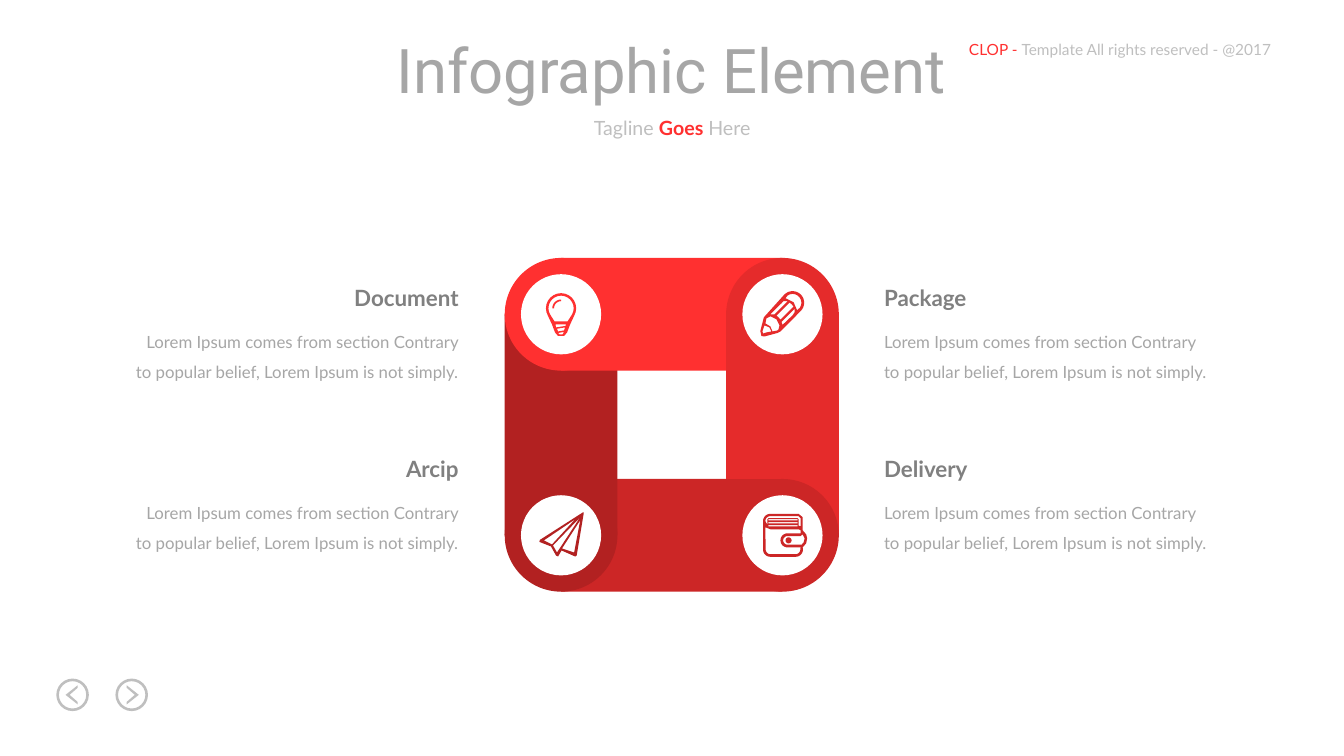
import math

import pptx
import pptx.dml.color
import pptx.enum.shapes
import pptx.enum.text
import pptx.util

Cm = pptx.util.Cm
Pt = pptx.util.Pt
RGBColor = pptx.dml.color.RGBColor
SHAPE = pptx.enum.shapes.MSO_SHAPE
ALIGN = pptx.enum.text.PP_ALIGN

WHITE = RGBColor(0xFF, 0xFF, 0xFF)
RED = RGBColor(0xFF, 0x30, 0x30)
RED_RIGHT = RGBColor(0xE5, 0x2B, 0x2B)
RED_BOTTOM = RGBColor(0xCC, 0x26, 0x26)
RED_LEFT = RGBColor(0xB2, 0x21, 0x21)
LIGHT_GREY = RGBColor(0xBF, 0xBF, 0xBF)
GREY = RGBColor(0xA6, 0xA6, 0xA6)
DARK_GREY = RGBColor(0x80, 0x80, 0x80)

TITLE = "Infographic Element"
TAGLINE = [("Tagline ", LIGHT_GREY, False), ("Goes ", RED, True), ("Here", LIGHT_GREY, False)]
COPYRIGHT = [("CLOP - ", RED, False), ("Template All rights reserved - @2017", LIGHT_GREY, False)]
DESCRIPTION = "Lorem Ipsum comes from section Contrary to popular belief, Lorem Ipsum is not simply."
COLUMNS = [
    (3.1, ALIGN.RIGHT, ["Document", "Arcip"]),
    (22.03, ALIGN.LEFT, ["Package", "Delivery"]),
]
COLUMN_WIDTH = 8.71
ROW_TOP, ROW_PITCH = 7.04, 4.31

LEFT, RIGHT, TOP, BOTTOM = 14.14, 19.72, 7.92, 13.49
BAND_RADIUS = 1.42
DISC_RADIUS = 1.01
ICON_UNIT = 2.54 / 100
NAVIGATION = [(1.83, -1), (3.32, 1)]
NAVIGATION_Y = 17.51
CHEVRON = [(-5, -7), (3, 0), (-5, 7), (-5, 9.5), (7, 0), (-5, -9.5)]


def arc(center_x, center_y, radius, start, end, steps=16):
    angles = [math.radians(start + (end - start) * step / steps) for step in range(steps + 1)]
    return [(center_x + radius * math.cos(a), center_y + radius * math.sin(a)) for a in angles]


BULB = [
    arc(0, -6, 15, 150, 390) + [(9, 10), (6, 18), (3, 21.5), (-3, 21.5), (-6, 18), (-9, 10)],
    arc(0, -6, 12.5, 150, 390) + [(6.5, 7), (-6.5, 7)],
    [(-5.5, 10), (5, 10), (4.5, 11.5), (-5, 13)],
    [(-4, 14.3), (4, 13), (3, 16), (-3, 17)],
    [(-3, 18.5), (3, 17.5), (1.5, 20), (-1.5, 20)],
]
GLINT = [arc(0, -6, 8.7, 180, 270) + arc(0, -6, 7, 270, 180)]
PENCIL = [
    [(-22, 16.5), (-18.5, 3)] + arc(10, -11.5, 11.5, 225, 405)
    + [(-2, 17), (-5, 18.5), (-18, 22), (-21, 21.5)],
    [(0, 10.5), (-1, 7.5), (12, -5.5), (12, -2), (10, 1)],
    [(-2, 5.3), (-4, 3), (-6, 1.3), (7, -11.7), (9, -10), (11, -7.7)],
    [(-8, 0), (-12, 0), (-1, -11), (1, -13), (5, -13)],
    [(-16, 18), (-19, 19), (-20, 17), (-18, 11), (-13, 13), (-11, 17)],
    [(-10, 17), (-12, 12), (-17, 9), (-16, 4), (-12, 2), (-6, 5), (-3, 11), (-4, 15), (-5, 16)],
    [(14.5, -4), (11, -12), (3, -16)] + arc(10, -11.5, 8.7, 235, 395),
]
WALLET = [
    arc(-12, -14, 7.3, 180, 270)
    + [(16, -21.3), (20, -18), (20, -5), (23.5, -1), (24.5, 3), (23.5, 8), (20, 12)]
    + arc(13, 14, 7.3, 0, 90) + arc(-12, 14, 7.3, 90, 180),
    [(-17, -8), (-12, -6), (16, -6), (18, -5), (18, -2)] + arc(5, 5, 7, 270, 90)
    + [(18, 12)] + arc(13, 14, 4.7, 0, 90) + arc(-12, 14, 4.7, 90, 180),
    arc(5, 5, 4.3, 90, 270) + [(18, 0.7), (20, -1), (22, 3), (21, 7), (19, 9.3)],
    arc(-12, -14, 5, 180, 270) + [(16, -19), (18, -17), (18, -9), (16, -9.5), (16, -16),
                                  (15, -17), (-14, -17), (-15, -16), (-15, -10.5)],
] + [[(-14, y), (15, y), (15, y + 1.2), (-14, y + 1.2)] for y in (-16, -13, -10)]
BUTTON = [arc(6, 5, 3, 0, 360)]
PLANE = [
    [(22, -23), (-21, 4.5), (-21.5, 6.5), (-10, 11), (-5, 20), (-3, 21), (0.5, 15),
     (14, 21), (15.5, 20), (22.5, -22)],
    [(-17, 5), (14, -16), (-9, 9)],
    [(-8, 10), (19, -18), (-4, 17)],
    [(13, 17), (1, 13), (19, -15)],
]
ICONS = [
    (RIGHT, TOP, RED_RIGHT, PENCIL),
    (LEFT, TOP, RED, BULB),
    (LEFT, TOP, RED, GLINT),
    (RIGHT, BOTTOM, RED_BOTTOM, BUTTON),
    (RIGHT, BOTTOM, RED_BOTTOM, WALLET),
    (LEFT, BOTTOM, RED_LEFT, PLANE),
]


def paint(shape, color):
    shape.shadow.inherit = False
    shape.fill.solid()
    shape.fill.fore_color.rgb = color
    shape.line.fill.background()


def add_preset(slide, kind, left, top, right, bottom, color):
    shape = slide.shapes.add_shape(kind, Cm(left), Cm(top), Cm(right - left), Cm(bottom - top))
    paint(shape, color)
    return shape


def add_round(slide, x, y, radius, color, kind=SHAPE.OVAL):
    return add_preset(slide, kind, x - radius, y - radius, x + radius, y + radius, color)


def add_outline(slide, x, y, contours, color, unit=ICON_UNIT):
    placed = [[(round((x + unit * dx) * 1000), round((y + unit * dy) * 1000)) for dx, dy in contour]
              for contour in contours]
    builder = slide.shapes.build_freeform(*placed[0][0], scale=Cm(0.001))
    for index, contour in enumerate(placed):
        if index:
            builder.move_to(*contour[0])
        builder.add_line_segments(contour[1:], close=True)
    paint(builder.convert_to_shape(), color)


def write_text(shape, runs, size, font="Lato", align=ALIGN.LEFT, spacing=None, wrap=True):
    frame = shape.text_frame
    frame.word_wrap = wrap
    frame.auto_size = pptx.enum.text.MSO_AUTO_SIZE.NONE
    frame.vertical_anchor = pptx.enum.text.MSO_ANCHOR.TOP
    paragraph = frame.paragraphs[0]
    paragraph.alignment = align
    if spacing:
        paragraph.line_spacing = spacing
    for text, color, bold in runs:
        run = paragraph.add_run()
        run.text = text
        run.font.name = font
        run.font.size = Pt(size)
        run.font.bold = bold
        run.font.color.rgb = color


def add_text(slide, left, top, width, height, runs, **formatting):
    box = slide.shapes.add_textbox(Cm(left), Cm(top), Cm(width), Cm(height))
    write_text(box, runs, **formatting)


def add_header(slide):
    title = slide.shapes.title
    title.left, title.top, title.width, title.height = Cm(9.68), Cm(0.68), Cm(14.48), Cm(2.13)
    write_text(title, [(TITLE, GREY, False)], size=44, font="Roboto", align=ALIGN.CENTER, wrap=False)
    add_text(slide, 14.65, 2.79, 4.58, 0.86, TAGLINE, size=14, align=ALIGN.CENTER, wrap=False)
    add_text(slide, 24.17, 0.89, 8.28, 0.74, COPYRIGHT, size=11, wrap=False)


def add_navigation(slide):
    for x, direction in NAVIGATION:
        ring = add_round(slide, x, NAVIGATION_Y, 0.41, LIGHT_GREY, SHAPE.DONUT)
        ring.adjustments[0] = 0.08
        chevron = [(direction * dx, dy) for dx, dy in CHEVRON]
        add_outline(slide, x, NAVIGATION_Y, [chevron], LIGHT_GREY)


def add_band_end(slide, x, y, color):
    add_round(slide, x, y, BAND_RADIUS, color)
    add_round(slide, x, y, DISC_RADIUS, WHITE)


def add_bands(slide):
    radius = BAND_RADIUS
    add_preset(slide, SHAPE.RECTANGLE, LEFT, BOTTOM - radius, RIGHT, BOTTOM + radius, RED_BOTTOM)
    add_preset(slide, SHAPE.RECTANGLE, LEFT - radius, TOP, LEFT + radius, BOTTOM, RED_LEFT)
    add_band_end(slide, LEFT, BOTTOM, RED_LEFT)
    add_preset(slide, SHAPE.RECTANGLE, LEFT, TOP - radius, RIGHT, TOP + radius, RED)
    add_band_end(slide, LEFT, TOP, RED)
    right_band = [(0, BOTTOM - TOP - radius), (0, BOTTOM - TOP), (radius, BOTTOM - TOP),
                  (radius, 0), (-radius, 0), (-radius, BOTTOM - TOP - radius)]
    add_outline(slide, RIGHT, TOP, [right_band], RED_RIGHT, unit=1)
    add_band_end(slide, RIGHT, TOP, RED_RIGHT)
    add_band_end(slide, RIGHT, BOTTOM, RED_BOTTOM)


def add_descriptions(slide):
    for left, align, headings in COLUMNS:
        for row, heading in enumerate(headings):
            top = ROW_TOP + row * ROW_PITCH
            add_text(slide, left, top + 0.94, COLUMN_WIDTH, 2.46, [(DESCRIPTION, GREY, False)],
                     size=12, align=align, spacing=1.5)
            add_text(slide, left, top, COLUMN_WIDTH, 0.94, [(heading, DARK_GREY, True)],
                     size=16, align=align)


def main():
    presentation = pptx.Presentation()
    presentation.slide_width, presentation.slide_height = Cm(33.87), Cm(19.05)
    slide = presentation.slides.add_slide(presentation.slide_layouts[5])
    add_header(slide)
    add_navigation(slide)
    add_bands(slide)
    for x, y, color, contours in ICONS:
        add_outline(slide, x, y, contours, color)
    add_descriptions(slide)
    presentation.save("out.pptx")


if __name__ == "__main__":
    main()
